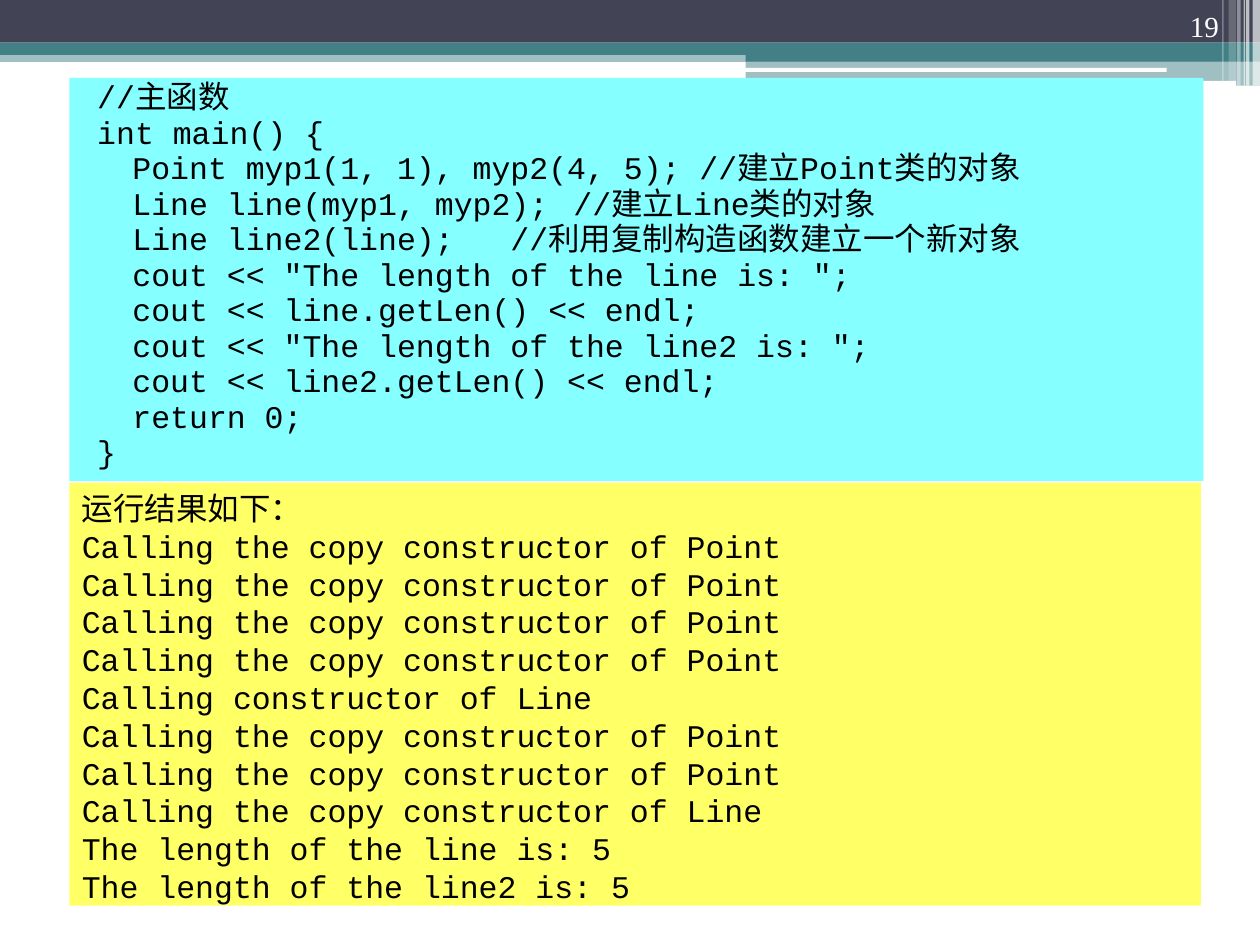
"""Build a code slide: main function above, its program output below."""
import pptx
import pptx.util
import pptx.dml.color
import pptx.enum.shapes
import pptx.enum.text
import pptx.oxml
import pptx.oxml.ns

Cm, Pt = pptx.util.Cm, pptx.util.Pt
KIND = pptx.enum.shapes.MSO_SHAPE
ALIGN = pptx.enum.text.PP_ALIGN
ANCHOR = pptx.enum.text.MSO_ANCHOR
qn = pptx.oxml.ns.qn

CODE = [
    "//主函数",
    "int main() {",
    "\tPoint myp1(1, 1), myp2(4, 5);\t//建立Point类的对象",
    "\tLine line(myp1, myp2);\t//建立Line类的对象",
    "\tLine line2(line);\t//利用复制构造函数建立一个新对象",
    "\tcout << \"The length of the line is: \";",
    "\tcout << line.getLen() << endl;",
    "\tcout << \"The length of the line2 is: \";",
    "\tcout << line2.getLen() << endl;",
    "\treturn 0;",
    "}",
]
COPY = "Calling the copy constructor of Point"
RESULT = [
    "运行结果如下：",
    *[COPY] * 4,
    "Calling constructor of Line",
    *[COPY] * 2,
    "Calling the copy constructor of Line",
    "The length of the line is: 5",
    "The length of the line2 is: 5",
]
NAVY, TEAL, WHITE, BLACK = "424456", "438086", "FFFFFF", "000000"
BANDS = [
    (KIND.RECTANGLE, (0, 1.02, 25.4, 0.23), TEAL, 50),
    (KIND.RECTANGLE, (0, 0, 25.4, 0.86), NAVY, 100),
    (KIND.RECTANGLE, (0, 0.86, 25.4, 0.25), TEAL, 100),
    (KIND.RECTANGLE, (15.03, 0.99, 10.37, 0.25), TEAL, 100),
    (KIND.RECTANGLE, (15.03, 1.22, 10.37, 0.51), TEAL, 50),
    (KIND.ROUNDED_RECTANGLE, (15.01, 1.37, 8.51, 0.08), WHITE, 100),
    (KIND.ROUNDED_RECTANGLE, (20.47, 1.63, 4.45, 0.1), WHITE, 100),
]
STRIPES = [
    (25.25, 0.15, 1.73, 65),
    (25.12, 0.07, 1.73, 65),
    (25.07, 0.03, 1.73, 60),
    (24.94, 0.07, 1.73, 40),
    (24.77, 0.15, 1.63, 20),
    (24.64, 0.03, 1.63, 30),
]
MONO = {"name": "Courier New", "size": Pt(18)}
SERIF = {"name": "Times New Roman", "size": Pt(16.6)}
FRAME = {
    "margin_left": Cm(0.25), "margin_right": Cm(0.25),
    "margin_top": Cm(0.13), "margin_bottom": Cm(0.13),
    "word_wrap": True, "auto_size": pptx.enum.text.MSO_AUTO_SIZE.NONE,
}


def tint(spot, code):
    """Set a fill or font colour from a hex string."""
    spot.rgb = pptx.dml.color.RGBColor.from_string(code)


def paint(shape, code, alpha=100):
    """Fill a shape, with opacity in percent."""
    shape.fill.solid()
    tint(shape.fill.fore_color, code)
    if alpha < 100:
        node = shape.fill._xPr.find(".//" + qn("a:srgbClr"))
        pptx.oxml.ns.nsmap
        node.append(pptx.oxml.parse_xml(
            '<a:alpha xmlns:a="http://schemas.openxmlformats.org/'
            f'drawingml/2006/main" val="{alpha * 1000}"/>'))


def block(slide, kind, box, code, alpha=100):
    """Add a plain filled shape."""
    shape = slide.shapes.add_shape(kind, *map(Cm, box))
    shape.shadow.inherit = False
    shape.line.fill.background()
    paint(shape, code, alpha)
    return shape


def write(shape, lines, font, code, form, anchor=ANCHOR.TOP):
    """Write one paragraph per line and return the paragraphs."""
    frame = shape.text_frame
    for key, value in {**FRAME, "vertical_anchor": anchor}.items():
        setattr(frame, key, value)
    paras = []
    for i, line in enumerate(lines):
        para = frame.add_paragraph() if i else frame.paragraphs[0]
        for key, value in form.items():
            setattr(para, key, value)
        run = para.add_run()
        run.text = line
        for key, value in font.items():
            setattr(run.font, key, value)
        tint(run.font.color, code)
        paras.append(para)
    paras[0].space_before = Pt(0)
    return paras


def indent(para):
    """Give a paragraph a hanging indent, no bullet and inch tab stops."""
    props = para._p.get_or_add_pPr()
    props.set("marL", str(Cm(1.02)))
    props.set("indent", str(Cm(-0.71)))
    props.append(props.makeelement(qn("a:buNone"), {}))
    tabs = props.makeelement(qn("a:tabLst"), {})
    for i in range(8):
        stop = {"pos": str(Cm(2.54 * i)), "algn": "l"}
        tabs.append(tabs.makeelement(qn("a:tab"), stop))
    props.append(tabs)


def main():
    """Build and save the slide."""
    deck = pptx.Presentation()
    deck.slide_width, deck.slide_height = Cm(25.4), Cm(19.05)
    slide = deck.slides.add_slide(deck.slide_layouts[1])
    title, body = slide.placeholders
    title._element.getparent().remove(title._element)

    for band in BANDS:
        block(slide, *band)
    for left, width, height, alpha in STRIPES:
        block(slide, KIND.RECTANGLE, (left, 0, width, height), WHITE, alpha)

    spots = ("left", "top", "width", "height")
    for key, value in zip(spots, (1.4, 1.57, 22.86, 8.13)):
        setattr(body, key, Cm(value))
    paint(body, "85FFFF")
    slide.shapes._spTree.append(body._element)
    form = {"alignment": ALIGN.LEFT, "line_spacing": 0.8,
            "space_before": Pt(3)}
    for para in write(body, CODE, MONO, BLACK, form):
        indent(para)

    page = slide.shapes.add_textbox(*map(Cm, (22.71, 0, 2.11, 1.02)))
    form = {"alignment": ALIGN.RIGHT, "line_spacing": 0.9}
    write(page, ["19"], SERIF, WHITE, form, ANCHOR.BOTTOM)

    box = (1.4, 9.73, 22.81, 8.53)
    result = block(slide, KIND.RECTANGLE, box, "FFFF66")
    write(result, RESULT, MONO, BLACK, {"alignment": ALIGN.LEFT})

    deck.save("out.pptx")


if __name__ == "__main__":
    main()
